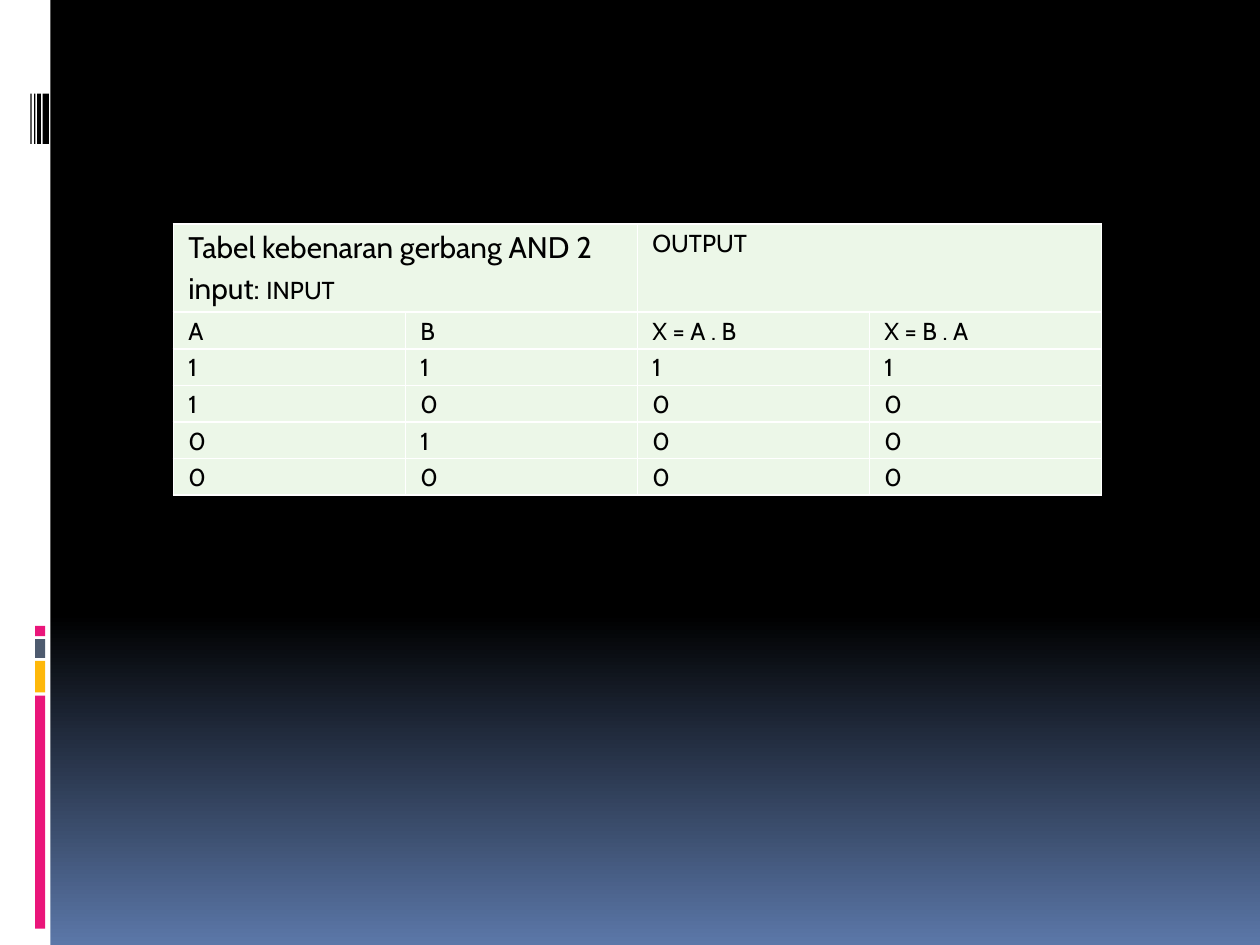
"""Build a slide with the truth table of a two-input AND gate."""
from itertools import product

from lxml import etree
from pptx import Presentation
from pptx import util as u
from pptx.dml.color import RGBColor
from pptx.enum import shapes
from pptx.oxml.ns import qn

BLACK = RGBColor(0x00, 0x00, 0x00)
WHITE = RGBColor(0xFF, 0xFF, 0xFF)
BLUE = RGBColor(0x5B, 0x77, 0xA8)
PINK = RGBColor(0xEA, 0x15, 0x7A)
AMBER = RGBColor(0xFE, 0xB8, 0x0A)
SLATE = RGBColor(0x4E, 0x5B, 0x6F)
MINT = RGBColor(0xEC, 0xF7, 0xE8)


def paint_background(slide):
    """Fade the slide from black to blue at the bottom."""
    fill = slide.background.fill
    fill.gradient()
    fill.gradient_angle = 270
    for stop, position, color in zip(fill.gradient_stops, (0.65, 1), (BLACK, BLUE)):
        stop.position = position
        stop.color.rgb = color


def add_bar(slide, left, top, width, height, color):
    """Add a plain rectangle without outline."""
    bar = slide.shapes.add_shape(shapes.MSO_SHAPE.RECTANGLE, u.Pt(left), u.Pt(top),
                                 u.Pt(width), u.Pt(height))
    bar.shadow.inherit = False
    bar.fill.solid()
    bar.fill.fore_color.rgb = color
    bar.line.fill.background()


def add_text(paragraph, wording, size=14, color=BLACK, font="Cabin"):
    """Append a formatted run to a paragraph."""
    run = paragraph.add_run()
    run.text = wording
    run.font.size = u.Pt(size)
    run.font.name = font
    run.font.bold = False
    run.font.color.rgb = color


def add_borders(cell, color=WHITE, width=1):
    """Draw a solid border on all four sides of a cell."""
    properties = cell._tc.get_or_add_tcPr()
    for place, side in enumerate(("lnL", "lnR", "lnT", "lnB")):
        border = etree.Element(qn(f"a:{side}"), w=str(u.Pt(width)))
        solid = etree.SubElement(border, qn("a:solidFill"))
        etree.SubElement(solid, qn("a:srgbClr"), val=str(color))
        properties.insert(place, border)


def style_cell(cell):
    """Give a cell its fill, margins, borders and line spacing."""
    cell.fill.solid()
    cell.fill.fore_color.rgb = MINT
    cell.margin_left = cell.margin_right = u.Pt(8.64)
    cell.margin_top = cell.margin_bottom = 0
    cell.text_frame.paragraphs[0].line_spacing = 1.15
    add_borders(cell)


def add_truth_table(slide):
    """Add the table, with its outputs worked out from the inputs."""
    body = [("A", "B", "X = A . B", "X = B . A")]
    body += [(a, b, a & b, b & a) for a, b in product((1, 0), repeat=2)]
    frame = slide.shapes.add_table(len(body) + 1, 4, u.Pt(99), u.Pt(128),
                                   u.Pt(530.4), u.Pt(154.9))
    table = frame.table
    table.first_row = table.horz_banding = False
    for column in table.columns:
        column.width = u.Pt(132.6)
    for index, row in enumerate(table.rows):
        row.height = u.Pt(20.9 if index else 50.4)
    for cell in table.iter_cells():
        style_cell(cell)

    for first in (0, 2):
        table.cell(0, first).merge(table.cell(0, first + 1))
    input_heading = table.cell(0, 0).text_frame.paragraphs[0]
    add_text(input_heading, "Tabel kebenaran gerbang AND 2 input: ", size=17)
    add_text(input_heading, "INPUT")
    add_text(table.cell(0, 2).text_frame.paragraphs[0], "OUTPUT")
    for r, values in enumerate(body, start=1):
        for c, value in enumerate(values):
            add_text(table.cell(r, c).text_frame.paragraphs[0], str(value))


def main():
    """Assemble and save the slide."""
    deck = Presentation()
    deck.slide_width, deck.slide_height = u.Pt(720), u.Pt(540)
    slide = deck.slides.add_slide(deck.slide_layouts[6])
    paint_background(slide)
    add_bar(slide, 0, 0, 28.8, 540, WHITE)
    for top, height, color in ((397.5, 133.2, PINK), (377.7, 18, AMBER),
                               (365.2, 10.8, SLATE), (357.7, 5.76, PINK)):
        add_bar(slide, 20, top, 5.76, height, color)
    for left, width in ((24.4, 3.6), (21.2, 2.16), (19.5, 0.72), (17.4, 0.72)):
        add_bar(slide, left, 53.5, width, 28.8, BLACK)
    add_truth_table(slide)
    deck.save("out.pptx")


if __name__ == "__main__":
    main()
